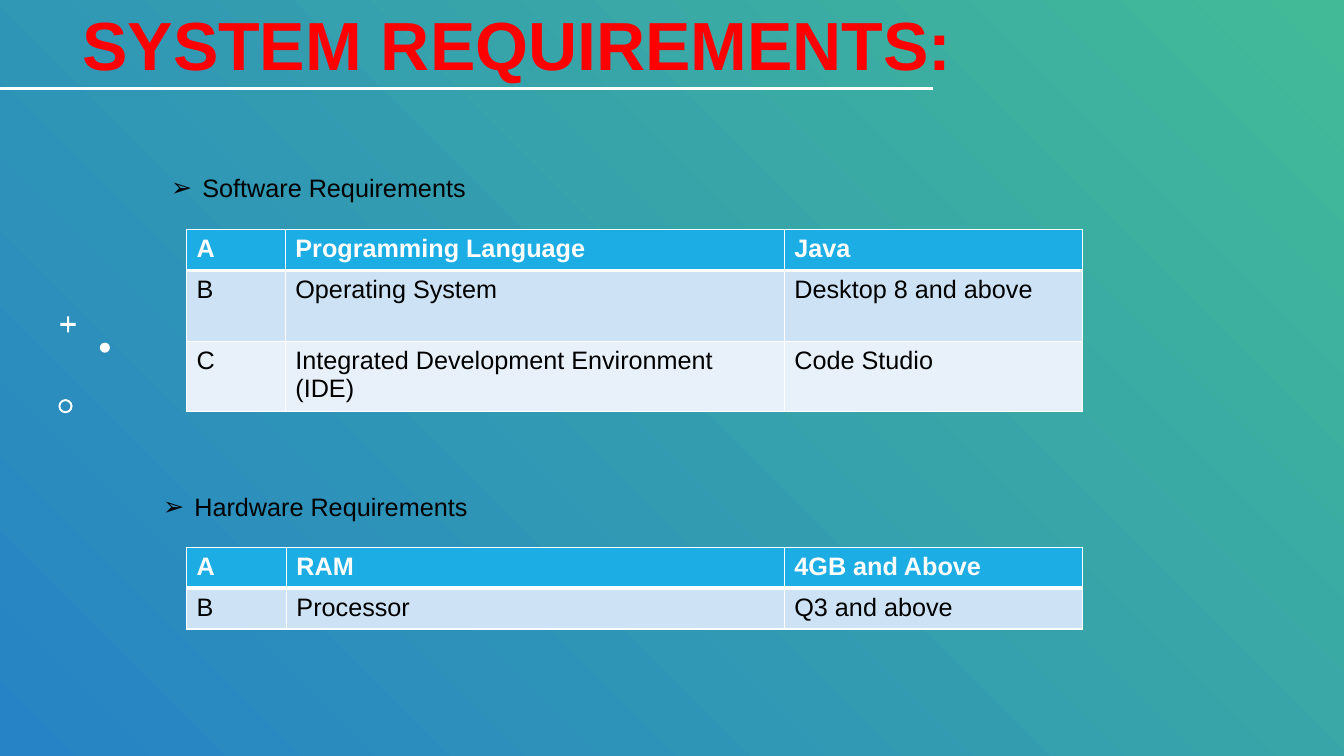
import lxml.etree
import pptx
import pptx.dml.color
import pptx.enum.shapes
import pptx.enum.text
import pptx.oxml.ns
import pptx.util

COLORS = {"blue": "2683C6", "green": "42BA97", "white": "FFFFFF", "red": "FF0000",
          "black": "000000", "header": "1CADE4", "band dark": "CDE3F5", "band light": "E8F1FA"}
RGB = {name: pptx.dml.color.RGBColor.from_string(value) for name, value in COLORS.items()}
SHAPE = pptx.enum.shapes.MSO_SHAPE
qn = pptx.oxml.ns.qn

deck = pptx.Presentation()
deck.slide_width = pptx.util.Inches(13.33)
deck.slide_height = pptx.util.Inches(7.5)
slide = deck.slides.add_slide(deck.slide_layouts[6])


def place(left, top, width, height):
    """Turn percentages of the slide into a position and a size."""
    return [round(deck.slide_width * left / 100), round(deck.slide_height * top / 100),
            round(deck.slide_width * width / 100), round(deck.slide_height * height / 100)]


def style(paragraph, size, color, bold=False):
    for run in paragraph.runs:
        run.font.name = "Arial"
        run.font.size = pptx.util.Pt(size)
        run.font.bold = bold
        run.font.color.rgb = RGB[color]


# Gradient backdrop, blue at bottom left to green at top right
backdrop = slide.shapes.add_shape(SHAPE.RECTANGLE, *place(0, 0, 100, 100))
backdrop.shadow.inherit = False
backdrop.line.fill.background()
backdrop.fill.gradient()
backdrop.fill.gradient_angle = 45
for stop, color, position in zip(backdrop.fill.gradient_stops, ("blue", "green"), (0, 1)):
    stop.color.rgb = RGB[color]
    stop.position = position

# Rule under the title
start_x, rule_y, end_x, _ = place(0, 11.73, 69.39, 0)
title_rule = slide.shapes.add_connector(
    pptx.enum.shapes.MSO_CONNECTOR.STRAIGHT, start_x, rule_y, end_x, rule_y)
title_rule.line.color.rgb = RGB["white"]
title_rule.line.width = pptx.util.Pt(2)
lxml.etree.SubElement(title_rule.element.spPr, qn("a:effectLst"))

# White ornaments: plus, dot and ring
for kind, area, thickness in (
        (SHAPE.CROSS, (4.5, 41.87, 1.13, 2.1), 0.43),
        (SHAPE.OVAL, (7.43, 45.33, 0.75, 1.33), None),
        (SHAPE.DONUT, (4.35, 52.8, 1.05, 1.87), 0.14)):
    ornament = slide.shapes.add_shape(kind, *place(*area))
    ornament.shadow.inherit = False
    ornament.line.fill.background()
    ornament.fill.solid()
    ornament.fill.fore_color.rgb = RGB["white"]
    if thickness:
        ornament.adjustments[0] = thickness

# Title
title = slide.shapes.add_textbox(*place(5.4, -2.53, 66.69, 14.4)).text_frame
title.word_wrap = True
title.vertical_anchor = pptx.enum.text.MSO_ANCHOR.BOTTOM
title.text = "SYSTEM REQUIREMENTS:"
title.paragraphs[0].line_spacing = 0.9
style(title.paragraphs[0], 48.6, "red", bold=True)

# Bulleted headings, each with its table
SECTIONS = (
    ("Software Requirements", (12, 22.13, 38.03, 5.3), 30.4,
     (7.35, 37.13, 22.2), (5.4, 9.33, 9.33),
     (("A", "Programming Language", "Java"),
      ("B", "Operating System", "Desktop 8 and above"),
      ("C", "Integrated Development Environment (IDE)", "Code Studio"))),
    ("Hardware Requirements", (11.4, 64.4, 72.17, 5.3), 72.4,
     (7.43, 37.05, 22.2), (5.4, 5.4),
     (("A", "RAM", "4GB and Above"),
      ("B", "Processor", "Q3 and above"))),
)
BANDS = ("header", "band dark", "band light")
hanging = pptx.util.Inches(0.31)

for heading_text, heading_area, table_top, columns, rows, entries in SECTIONS:
    heading = slide.shapes.add_textbox(*place(*heading_area)).text_frame
    heading.word_wrap = True
    heading.text = heading_text
    style(heading.paragraphs[0], 18, "black")
    bullet = heading.paragraphs[0]._p.get_or_add_pPr()
    bullet.set("marL", str(hanging))
    bullet.set("indent", str(-hanging))
    lxml.etree.SubElement(bullet, qn("a:buFont"), typeface="Arial")
    lxml.etree.SubElement(bullet, qn("a:buChar"), char="➢")

    table = slide.shapes.add_table(
        len(rows), len(columns), *place(13.88, table_top, sum(columns), sum(rows))).table
    for column, share in zip(table.columns, columns):
        column.width = place(0, 0, share, 0)[2]
    for r, (row, share) in enumerate(zip(table.rows, rows)):
        row.height = place(0, 0, 0, share)[3]
        for cell, entry in zip(row.cells, entries[r]):
            cell.text = entry
            style(cell.text_frame.paragraphs[0], 18,
                  "black" if r else "white", bold=r == 0)
            # White borders, thicker between the header and the body
            for side in "LRTB":
                thick = (r, side) in ((0, "B"), (1, "T"))
                border = lxml.etree.SubElement(
                    cell._tc.get_or_add_tcPr(), qn("a:ln" + side),
                    w=str(pptx.util.Pt(3 if thick else 1)))
                paint = lxml.etree.SubElement(border, qn("a:solidFill"))
                lxml.etree.SubElement(paint, qn("a:srgbClr"), val=COLORS["white"])
            cell.fill.solid()
            cell.fill.fore_color.rgb = RGB[BANDS[r]]

deck.save("out.pptx")
